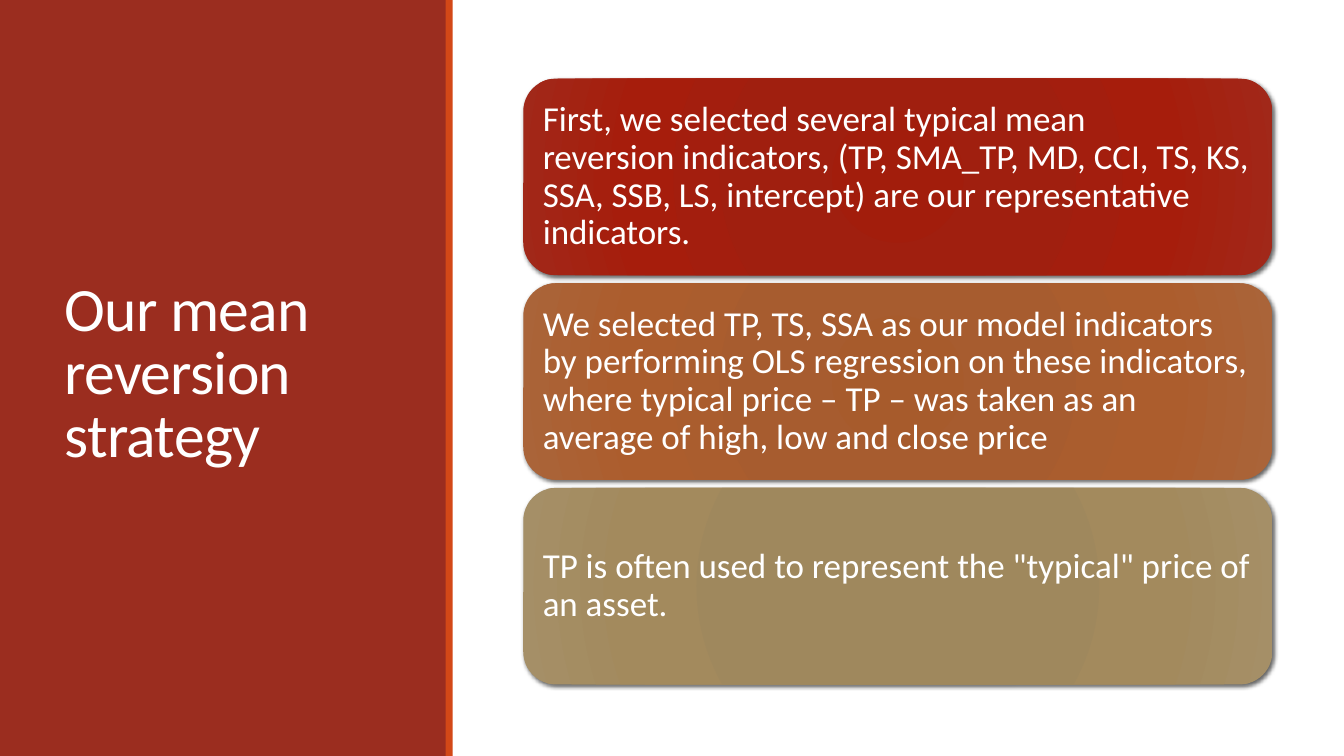
from lxml.etree import SubElement
from pptx import Presentation
from pptx.dml.color import RGBColor
from pptx.enum.shapes import MSO_SHAPE
from pptx.enum.text import MSO_ANCHOR, MSO_AUTO_SIZE, PP_ALIGN
from pptx.oxml import parse_xml
from pptx.oxml.ns import nsdecls, qn
from pptx.util import Inches, Pt

HARD_SPACE = chr(160)
STEPS = [
    (f"First, we selected several typical mean reversion{HARD_SPACE}indicators, "
     "(TP, SMA_TP, MD, CCI, TS, KS, SSA, SSB, LS, intercept) "
     f"are{HARD_SPACE}our representative indicators.",
     ["A21D0C", "A01F0F", "A61D0C", "A12819"]),
    (f"We selected TP, TS, SSA as our model{HARD_SPACE}indicators by performing OLS regression "
     f"on these indicators, where{HARD_SPACE}typical price – TP – was taken as an average "
     f"of{HARD_SPACE}high, low and close price",
     ["A75B2C", "A75C2F", "AC5D2D", "AA6439"]),
    (f"TP is often used to{HARD_SPACE}represent the \"typical\" price of an asset.",
     ["9F875B", "9F885D", "A38A5D", "A58F67"]),
]
STOPS = [0, 34, 70, 100]


def color(hex_value):
    return RGBColor.from_string(hex_value)


def add_block(slide, geometry, left, top, width, height, fill):
    block = slide.shapes.add_shape(
        geometry, Inches(left), Inches(top), Inches(width), Inches(height))
    block.shadow.inherit = False
    block.line.fill.background()
    block.fill.solid()
    block.fill.fore_color.rgb = color(fill)
    return block


def write_text(shape, text, size, line_spacing):
    frame = shape.text_frame
    frame.word_wrap = True
    frame.auto_size = MSO_AUTO_SIZE.NONE
    frame.vertical_anchor = MSO_ANCHOR.MIDDLE
    paragraph = frame.paragraphs[0]
    paragraph.text = text
    paragraph.alignment = PP_ALIGN.LEFT
    paragraph.line_spacing = line_spacing
    paragraph.font.name = "Calibri"
    paragraph.font.size = Pt(size)
    paragraph.font.color.rgb = color("FFFFFF")
    return paragraph


def apply_radial_gradient(shape, shades):
    stops = "".join(
        f'<a:gs pos="{stop * 1000}"><a:srgbClr val="{shade}"/></a:gs>'
        for stop, shade in zip(STOPS, shades))
    gradient = parse_xml(
        f'<a:gradFill {nsdecls("a")} rotWithShape="1"><a:gsLst>{stops}</a:gsLst>'
        '<a:path path="circle"><a:fillToRect l="100000" t="100000" r="100000" b="100000"/>'
        '</a:path></a:gradFill>')
    properties = shape._element.spPr
    properties.replace(properties.find(qn("a:solidFill")), gradient)


def apply_shadow(shape):
    effects = shape._element.spPr.find(qn("a:effectLst"))
    shadow = SubElement(effects, qn("a:outerShdw"), blurRad=str(Pt(3)), dist=str(Pt(2)),
                        dir="2700000", algn="br", rotWithShape="0")
    shade = SubElement(shadow, qn("a:srgbClr"), val="000000")
    SubElement(shade, qn("a:alpha"), val="60000")


def add_title_panel(slide, left, top, width, height):
    add_block(slide, MSO_SHAPE.RECTANGLE, left, top, width, height, "9B2D1F")
    add_block(slide, MSO_SHAPE.RECTANGLE, left + width - 0.01, top, 0.07, height, "D34817")
    title = slide.shapes.title
    title.left, title.top = Inches(left + 0.54), Inches(top + 0.57)
    title.width, title.height = Inches(width - 1.06), Inches(height - 1.19)
    heading = write_text(title, "Our mean reversion strategy", 44, 0.85)
    heading.runs[0].font._element.set("spc", "-50")
    slide.shapes._spTree.append(title._element)


def add_step_cards(slide, left, top, width, height, gap):
    card_height = (height - gap * (len(STEPS) - 1)) / len(STEPS)
    for index, (step, shades) in enumerate(STEPS):
        card = add_block(slide, MSO_SHAPE.ROUNDED_RECTANGLE, left,
                         top + index * (card_height + gap), width, card_height, shades[0])
        apply_radial_gradient(card, shades)
        apply_shadow(card)
        write_text(card, step, 25, 0.9)


def main():
    presentation = Presentation()
    presentation.slide_width = Inches(13.33)
    presentation.slide_height = Inches(7.5)
    slide = presentation.slides.add_slide(presentation.slide_layouts[5])
    add_title_panel(slide, 0, 0, 4.43, 7.5)
    add_step_cards(slide, 5.19, 0.78, 7.43, 6.01, 0.08)
    presentation.save("out.pptx")


if __name__ == "__main__":
    main()
